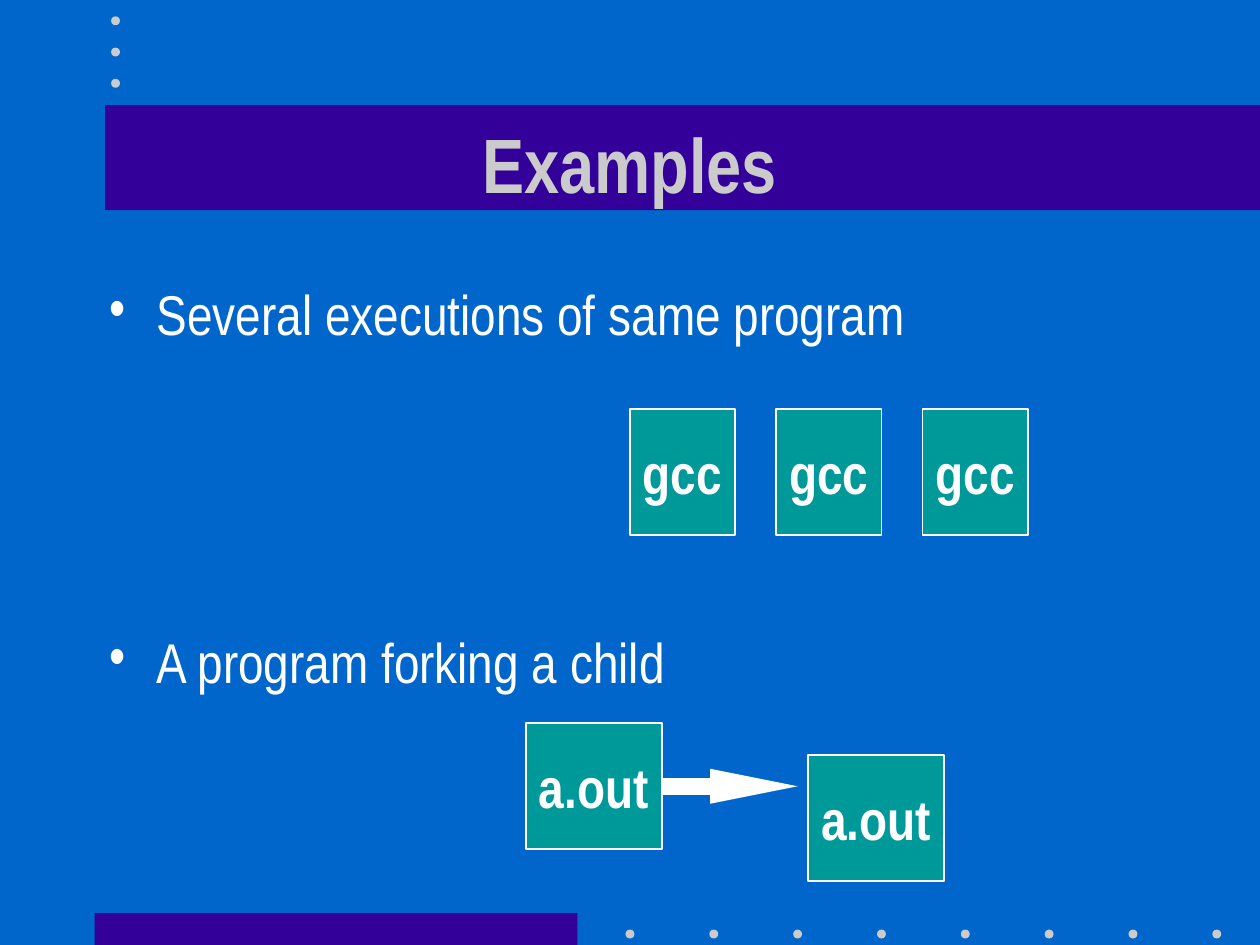
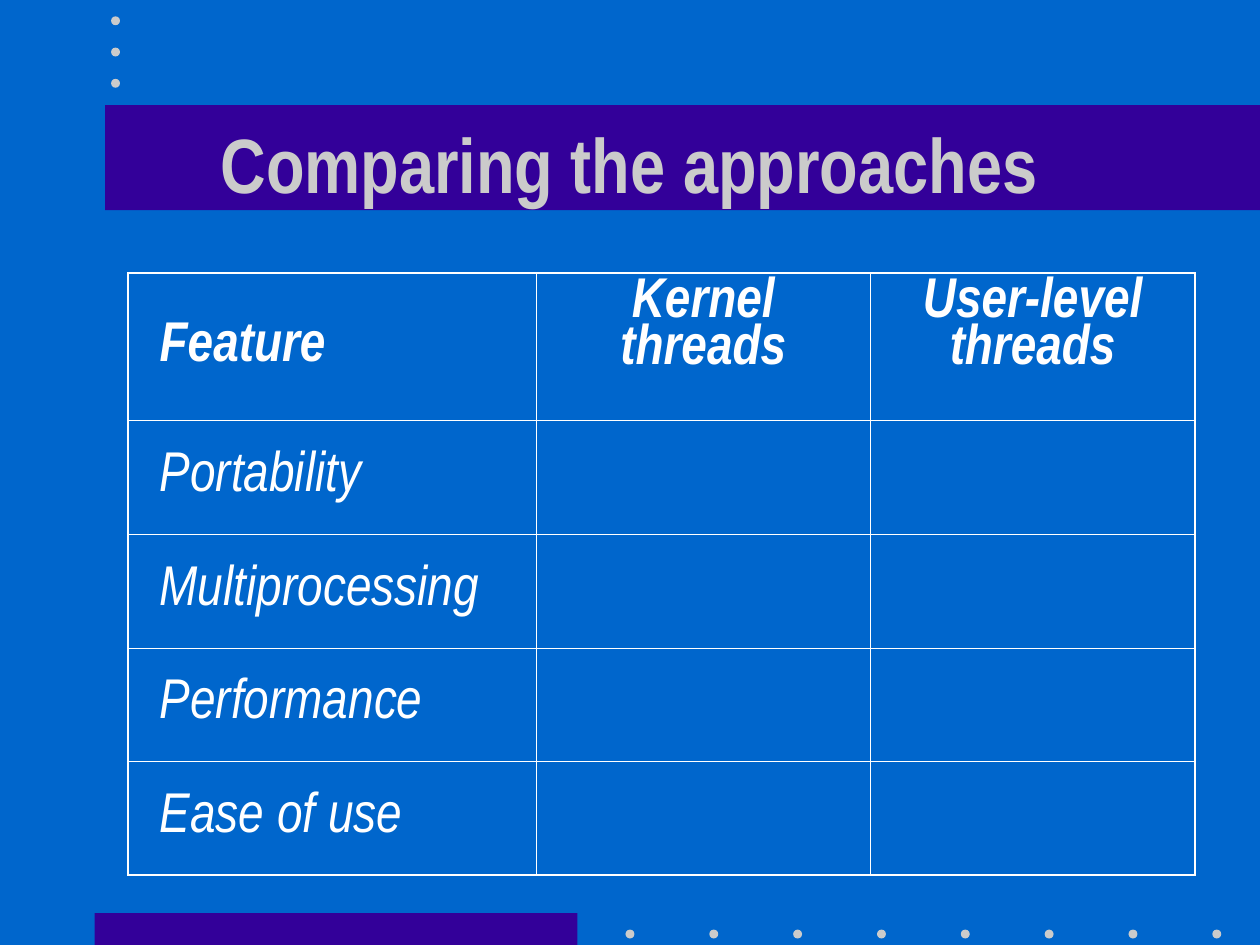
from dataclasses import dataclass

from lxml.etree import SubElement
from pptx import Presentation
from pptx.dml.color import RGBColor
from pptx.enum.shapes import MSO_CONNECTOR as Connector
from pptx.enum.shapes import MSO_SHAPE as Preset
from pptx.enum.text import MSO_ANCHOR as Anchor
from pptx.enum.text import PP_ALIGN as Align
from pptx.oxml.ns import qn
from pptx.util import Cm, Pt

COLORS = {
    "background": "0066CC",
    "band": "330099",
    "accent": "CBCBCB",
    "process": "009999",
    "white": "FFFFFF",
}
FONT = "Arial Narrow"
OUTER_LINE, INNER_LINE = 1.08, 0.45


@dataclass(frozen=True)
class Area:
    left: float
    top: float
    width: float
    height: float

    def lengths(self) -> tuple:
        return Cm(self.left), Cm(self.top), Cm(self.width), Cm(self.height)


@dataclass(frozen=True)
class Process:
    name: str
    area: Area


@dataclass(frozen=True)
class DotRow:
    left: float
    top: float
    step_x: float
    step_y: float
    count: int


BANDS = (Area(1.91, 18.41, 9.73, 0.64), Area(2.12, 2.12, 23.28, 2.12))
DOT_ROWS = (DotRow(12.61, 18.74, 1.69, 0, 8), DotRow(2.24, 0.33, 0, 0.63, 3))
DOT_SIZE = 0.18
TITLE_AREA = Area(1.9, 1.7, 21.59, 3.18)
BODY_AREA = Area(1.96, 5.52, 21.59, 11.43)

PROCESSES = (
    Process("a.out", Area(10.6, 14.58, 2.74, 2.54)),
    *(Process("gcc", Area(12.7 + 2.95 * i, 8.25, 2.12, 2.54)) for i in range(3)),
    Process("a.out", Area(16.29, 15.22, 2.74, 2.54)),
)

TABLE_AREA = Area(2.58, 5.51, 21.51, 12.13)
COLUMN_WIDTHS = (8.23, 6.74, 6.54)
ROW_HEIGHTS = (2.97, 2.29, 2.29, 2.29, 2.29)
HEADINGS = (("Feature",), ("Kernel", "threads"), ("User-level", "threads"))
FEATURES = ("Portability", "Multiprocessing", "Performance", "Ease of use")


def rgb(name: str) -> RGBColor:
    return RGBColor.from_string(COLORS[name])


def write_text(para, *lines: str, size=32, color="white", bold=False,
               italic=False, align=Align.LEFT, spacing=None) -> None:
    para.alignment = align
    para.line_spacing = spacing
    for index, line in enumerate(lines):
        if index:
            para.add_line_break()
        span = para.add_run()
        span.text = line
        span.font.name = FONT
        span.font.size = Pt(size)
        span.font.bold = bold
        span.font.italic = italic
        span.font.color.rgb = rgb(color)


def add_filled(slide, preset, area: Area, color: str, line=None):
    shape = slide.shapes.add_shape(preset, *area.lengths())
    shape.shadow.inherit = False
    shape.fill.solid()
    shape.fill.fore_color.rgb = rgb(color)
    if line:
        shape.line.color.rgb = rgb(line)
        shape.line.width = Pt(1)
    else:
        shape.line.fill.background()
    return shape


def add_titled_slide(deck, title: str):
    slide = deck.slides.add_slide(deck.slide_layouts[6])
    slide.background.fill.solid()
    slide.background.fill.fore_color.rgb = rgb("background")
    for band in BANDS:
        add_filled(slide, Preset.RECTANGLE, band, "band")
    for row in DOT_ROWS:
        for i in range(row.count):
            dot = Area(row.left + i * row.step_x, row.top + i * row.step_y,
                       DOT_SIZE, DOT_SIZE)
            add_filled(slide, Preset.OVAL, dot, "accent")
    frame = slide.shapes.add_textbox(*TITLE_AREA.lengths()).text_frame
    frame.word_wrap = True
    frame.vertical_anchor = Anchor.MIDDLE
    write_text(frame.paragraphs[0], title, size=44, color="accent", bold=True,
               align=Align.CENTER)
    return slide


def add_bullets(slide, area: Area, texts: tuple, gap: float) -> None:
    frame = slide.shapes.add_textbox(*area.lengths()).text_frame
    frame.word_wrap = True
    for index, text in enumerate(texts):
        para = frame.add_paragraph() if index else frame.paragraphs[0]
        if index:
            para.space_before = Pt(gap)
        write_text(para, text)
        properties = para._p.get_or_add_pPr()
        properties.set("marL", str(Cm(0.95)))
        properties.set("indent", str(-Cm(0.95)))
        SubElement(properties, qn("a:buFont"), typeface=FONT)
        SubElement(properties, qn("a:buChar"), char="•")


def add_process(slide, process: Process) -> None:
    box = add_filled(slide, Preset.RECTANGLE, process.area, "process", "white")
    box.text_frame.word_wrap = False
    box.text_frame.vertical_anchor = Anchor.MIDDLE
    write_text(box.text_frame.paragraphs[0], process.name, bold=True,
               align=Align.CENTER)


def add_arrow(slide, left: float, right: float, level: float) -> None:
    arrow = slide.shapes.add_connector(
        Connector.STRAIGHT, Cm(left), Cm(level), Cm(right), Cm(level))
    arrow.line.color.rgb = rgb("white")
    arrow.line.width = Pt(10)
    outline = arrow.line._get_or_add_ln()
    outline.set("cap", "sq")
    SubElement(outline, qn("a:tailEnd"), type="triangle", w="sm", len="lg")
    SubElement(arrow._element.spPr, qn("a:effectLst"))


def set_borders(cell, outer_sides: dict) -> None:
    properties = cell._tc.get_or_add_tcPr()
    for side, is_outer in outer_sides.items():
        width = Pt(OUTER_LINE if is_outer else INNER_LINE)
        border = SubElement(properties, qn(f"a:ln{side}"), w=str(width))
        fill = SubElement(border, qn("a:solidFill"))
        SubElement(fill, qn("a:srgbClr"), val=COLORS["white"])


def add_feature_table(slide) -> None:
    rows = (HEADINGS, *(((feature,), (), ()) for feature in FEATURES))
    last_row, last_column = len(rows) - 1, len(COLUMN_WIDTHS) - 1
    table = slide.shapes.add_table(
        len(rows), len(COLUMN_WIDTHS), *TABLE_AREA.lengths()).table
    table.first_row = table.horz_banding = False
    for column, width in zip(table.columns, COLUMN_WIDTHS):
        column.width = Cm(width)
    for row, height in zip(table.rows, ROW_HEIGHTS):
        row.height = Cm(height)
    for r, texts in enumerate(rows):
        for c, lines in enumerate(texts):
            cell = table.cell(r, c)
            set_borders(cell, {"L": c == 0, "R": c == last_column,
                               "T": r == 0, "B": r == last_row})
            cell.fill.background()
            if c == 0:
                cell.margin_left = Cm(0.64)
                cell.vertical_anchor = Anchor.MIDDLE
            write_text(cell.text_frame.paragraphs[0], *lines, bold=r == 0,
                       italic=True, spacing=0.9,
                       align=Align.CENTER if c else Align.LEFT)


def build_examples(deck) -> None:
    slide = add_titled_slide(deck, "Examples")
    add_bullets(slide, BODY_AREA, ("Several executions of same program",
                                   "A program forking a child"), gap=160)
    for process in PROCESSES:
        add_process(slide, process)
    add_arrow(slide, 13.54, 16.08, 15.85)


def build_comparison(deck) -> None:
    slide = add_titled_slide(deck, "Comparing the approaches")
    add_feature_table(slide)


def main() -> None:
    deck = Presentation()
    deck.slide_width, deck.slide_height = Cm(25.4), Cm(19.05)
    build_examples(deck)
    build_comparison(deck)
    deck.save("out.pptx")


if __name__ == "__main__":
    main()
